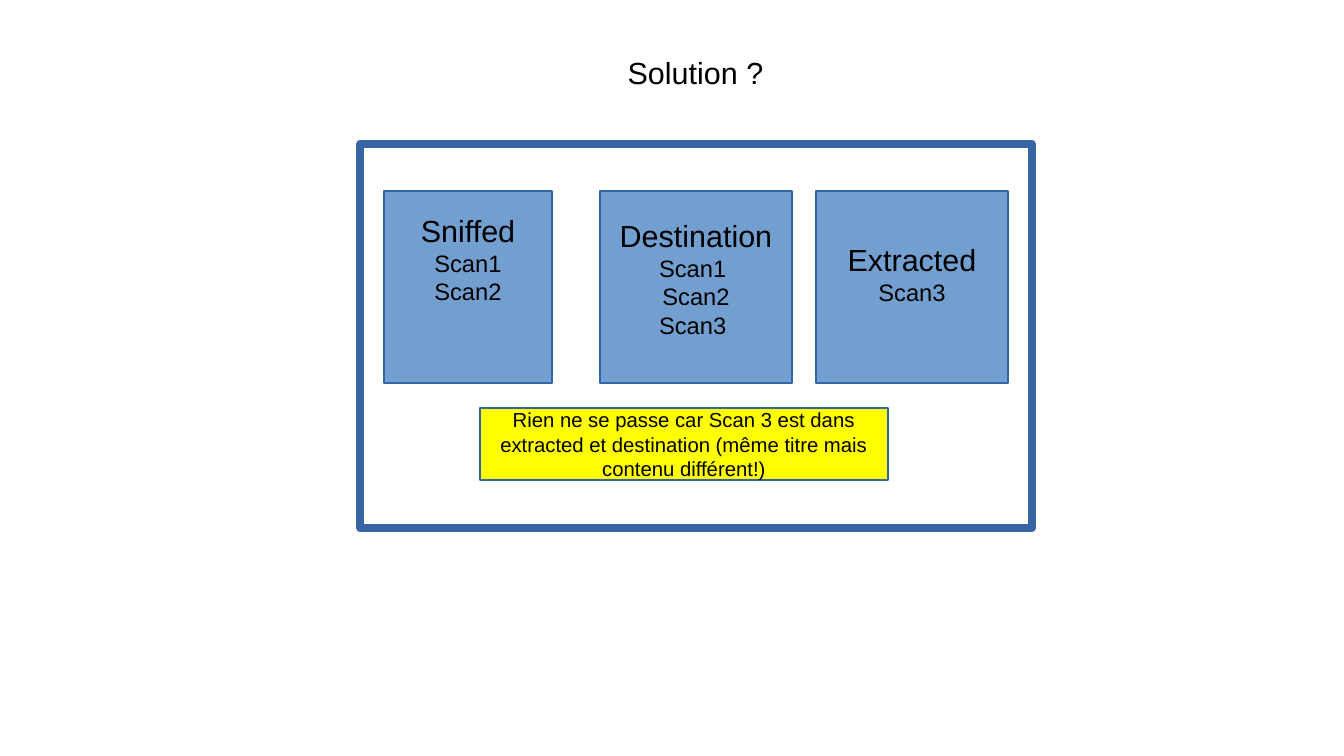
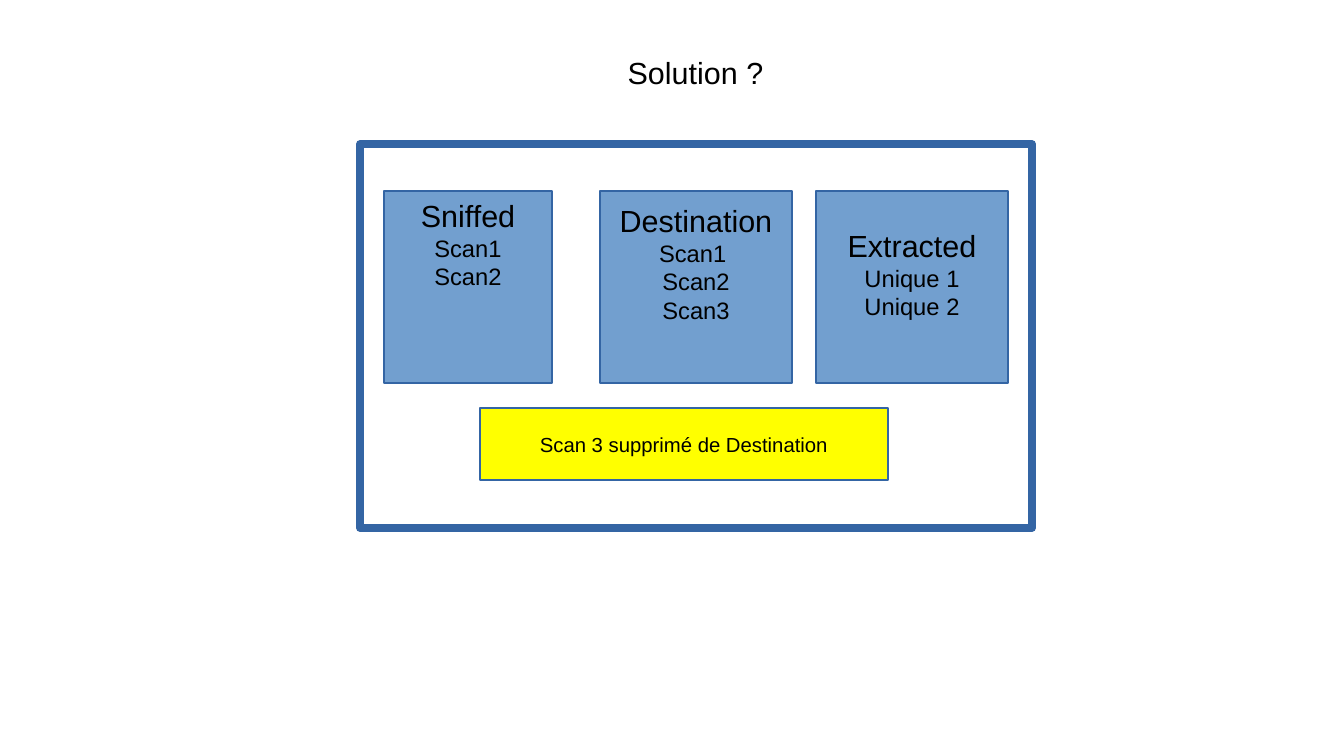
"""Build two slides comparing the sniffed, destination and extracted folders."""
from pptx import Presentation
from pptx.dml.color import RGBColor
from pptx.enum.shapes import MSO_SHAPE
from pptx.enum.text import MSO_ANCHOR, PP_ALIGN
from pptx.util import Pt

PX = 7495
BLACK = RGBColor(0x00, 0x00, 0x00)
BLUE = RGBColor(0x72, 0x9F, 0xCF)
DARK_BLUE = RGBColor(0x34, 0x65, 0xA4)
YELLOW = RGBColor(0xFF, 0xFF, 0x00)
FONT = "Arial"
BOX_TOP, BOX_H = 191, 192
COLUMNS = [(384, 168), (600, 192), (816, 192)]

SLIDES = [
    (
        [
            (21, ["Sniffed", "Scan1", "Scan2"]),
            (26, ["Destination", "Scan1 ", "Scan2", "Scan3 "]),
            (50, ["Extracted", "Scan3"]),
        ],
        "Rien ne se passe car Scan 3 est dans extracted et destination "
        "(même titre mais contenu différent!)",
    ),
    (
        [
            (6, ["Sniffed", "Scan1", "Scan2"]),
            (11, ["Destination", "Scan1 ", "Scan2", "Scan3"]),
            (36, ["Extracted", "Unique 1", "Unique 2"]),
        ],
        "Scan 3 supprimé de Destination",
    ),
]


def add_rect(s, x, y, w, h, fill=None, line_width=0):
    """Add a rectangle with the shared outline."""
    sp = s.shapes.add_shape(MSO_SHAPE.RECTANGLE, x * PX, y * PX, w * PX, h * PX)
    sp.shadow.inherit = False
    if fill is None:
        sp.fill.background()
    else:
        sp.fill.solid()
        sp.fill.fore_color.rgb = fill
    sp.line.color.rgb = DARK_BLUE
    sp.line.width = Pt(line_width)
    return sp


def write_lines(sp, lines, anchor, inset=6):
    """Write centred (text, size) lines, one paragraph each."""
    tf = sp.text_frame
    tf.word_wrap = True
    tf.vertical_anchor = anchor
    tf.margin_left = tf.margin_right = 12 * PX
    tf.margin_top = inset * PX
    tf.margin_bottom = 6 * PX
    for i, (text, size) in enumerate(lines):
        p = tf.paragraphs[0] if i == 0 else tf.add_paragraph()
        p.alignment = PP_ALIGN.CENTER
        r = p.add_run()
        r.text = text
        r.font.name = FONT
        r.font.size = Pt(size)
        r.font.color.rgb = BLACK


prs = Presentation()
prs.slide_width = 1344 * PX
prs.slide_height = 756 * PX

for folders, note in SLIDES:
    s = prs.slides.add_slide(prs.slide_layouts[6])

    for (x, w), (inset, (name, *files)) in zip(COLUMNS, folders):
        sp = add_rect(s, x, BOX_TOP, w, BOX_H, BLUE)
        lines = [(name, 18)] + [(f, 14) for f in files]
        write_lines(sp, lines, MSO_ANCHOR.TOP, inset)

    add_rect(s, 360, 144, 672, 384, line_width=4.5)

    sp = add_rect(s, 480, 408, 408, 72, YELLOW)
    write_lines(sp, [(note, 12)], MSO_ANCHOR.MIDDLE)

    title = s.shapes.add_textbox(504 * PX, 48 * PX, 383 * PX, 52 * PX)
    write_lines(title, [("Solution ?", 18)], MSO_ANCHOR.TOP)

prs.save("out.pptx")
